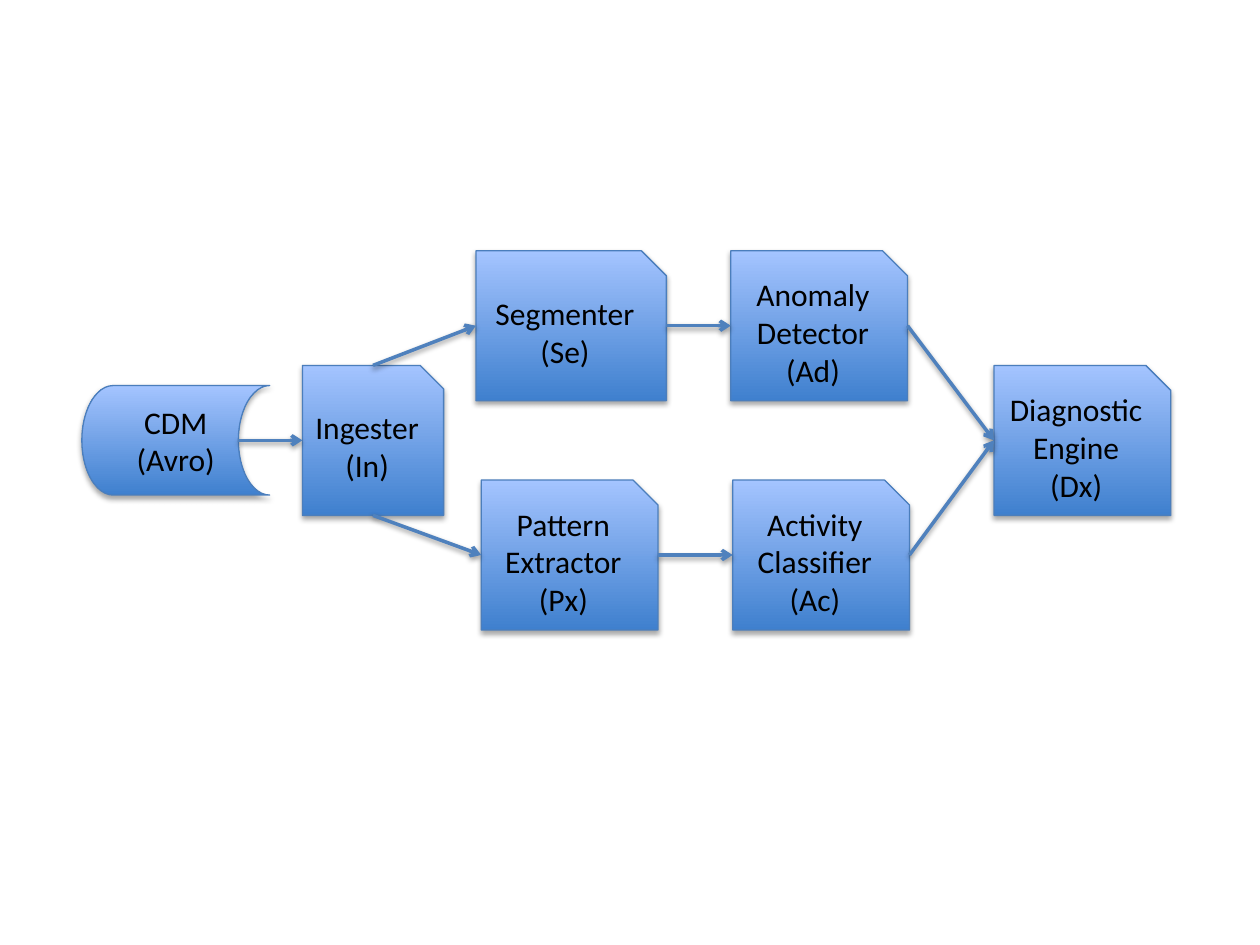
from typing import NamedTuple

from lxml.etree import SubElement
from pptx import Presentation
from pptx.dml.color import RGBColor
from pptx.enum.shapes import MSO_CONNECTOR as Link, MSO_SHAPE as Form
from pptx.enum.text import MSO_ANCHOR as Anchor, PP_ALIGN as Align
from pptx.oxml.ns import qn
from pptx.util import Pt

TOP, LEFT, BASE, RIGHT = range(4)
MID, STEP, TALL = 208.8, 65.5, 85.7
NOTCH = 5 / 6


class Box(NamedTuple):
    name: str
    text: str
    left: float
    wide: float
    row: int = 0
    tall: float = TALL
    form: Form = Form.SNIP_1_RECTANGLE


class Arrow(NamedTuple):
    start: str
    side: int
    end: str


BOXES = [
    Box("In", "Ingester\v(In)", 172.8, 80.7),
    Box("Px", "Pattern\vExtractor\n(Px)", 275, 101, 1),
    Box("Se", "Segmenter\n(Se)", 272, 108.8, -1),
    Box("Ad", "Anomaly\vDetector\n(Ad)", 417.6, 101, -1),
    Box("Ac", "Activity\vClassifier\n(Ac)", 418.7, 101, 1),
    Box("Dx", "Diagnostic\nEngine\n(Dx)", 568, 101),
    Box("CDM", "CDM\v(Avro)", 46.8, 107.3, 0, 62.6, Form.FLOWCHART_STORED_DATA),
]
ARROWS = [
    Arrow("CDM", RIGHT, "In"),
    Arrow("In", TOP, "Se"),
    Arrow("In", BASE, "Px"),
    Arrow("Px", RIGHT, "Ac"),
    Arrow("Se", RIGHT, "Ad"),
    Arrow("Ad", RIGHT, "Dx"),
    Arrow("Ac", RIGHT, "Dx"),
]


def color(code: str) -> RGBColor:
    return RGBColor.from_string(code)


def style(item, values: dict) -> None:
    for key, value in values.items():
        setattr(item, key, value)


def stroke(shape, code: str, width: float) -> None:
    shape.line.color.rgb = color(code)
    shape.line.width = Pt(width)


def shade(shape, drop: float, alpha: int) -> None:
    group = SubElement(shape._element.spPr, qn("a:effectLst"))
    cast = SubElement(group, qn("a:outerShdw"), blurRad=str(Pt(3.1)),
                      dist=str(Pt(drop)), dir="5400000", rotWithShape="0")
    tint = SubElement(cast, qn("a:srgbClr"), val="000000")
    SubElement(tint, qn("a:alpha"), val=str(alpha * 1000))


def draw_box(slide, box: Box):
    top = MID + box.row * STEP + (TALL - box.tall) / 2
    shape = slide.shapes.add_shape(
        box.form, Pt(box.left), Pt(top), Pt(box.wide), Pt(box.tall))
    shape.fill.gradient()
    shape.fill.gradient_angle = 90
    for stop, code in zip(shape.fill.gradient_stops, ("3F80CE", "A4C4FF")):
        stop.color.rgb = color(code)
    stroke(shape, "4B7EBC", 0.75)
    shade(shape, 1.8, 35)
    frame = shape.text_frame
    style(frame, {"text": box.text, "word_wrap": True,
                  "vertical_anchor": Anchor.MIDDLE})
    for para in frame.paragraphs:
        para.alignment = Align.CENTER
        for run in para.runs:
            style(run.font, {"name": "Calibri", "size": Pt(18)})
            run.font.color.rgb = color("000000")
    return shape


def draw_arrow(slide, arrow: Arrow, shapes: dict) -> None:
    start = shapes[arrow.start]
    line = slide.shapes.add_connector(Link.STRAIGHT, 0, 0, 0, 0)
    line.begin_connect(start, arrow.side)
    line.end_connect(shapes[arrow.end], LEFT)
    if start.auto_shape_type == Form.FLOWCHART_STORED_DATA:
        line.begin_x = int(start.left + start.width * NOTCH)
    stroke(line, "4F81BD", 2)
    SubElement(line.line._get_or_add_ln(), qn("a:tailEnd"), type="arrow")
    shade(line, 1.6, 38)


def main() -> None:
    deck = Presentation()
    style(deck, {"slide_width": Pt(720), "slide_height": Pt(540)})
    slide = deck.slides.add_slide(deck.slide_layouts[6])
    shapes = {box.name: draw_box(slide, box) for box in BOXES}
    for arrow in ARROWS:
        draw_arrow(slide, arrow, shapes)
    deck.save("out.pptx")


if __name__ == "__main__":
    main()
